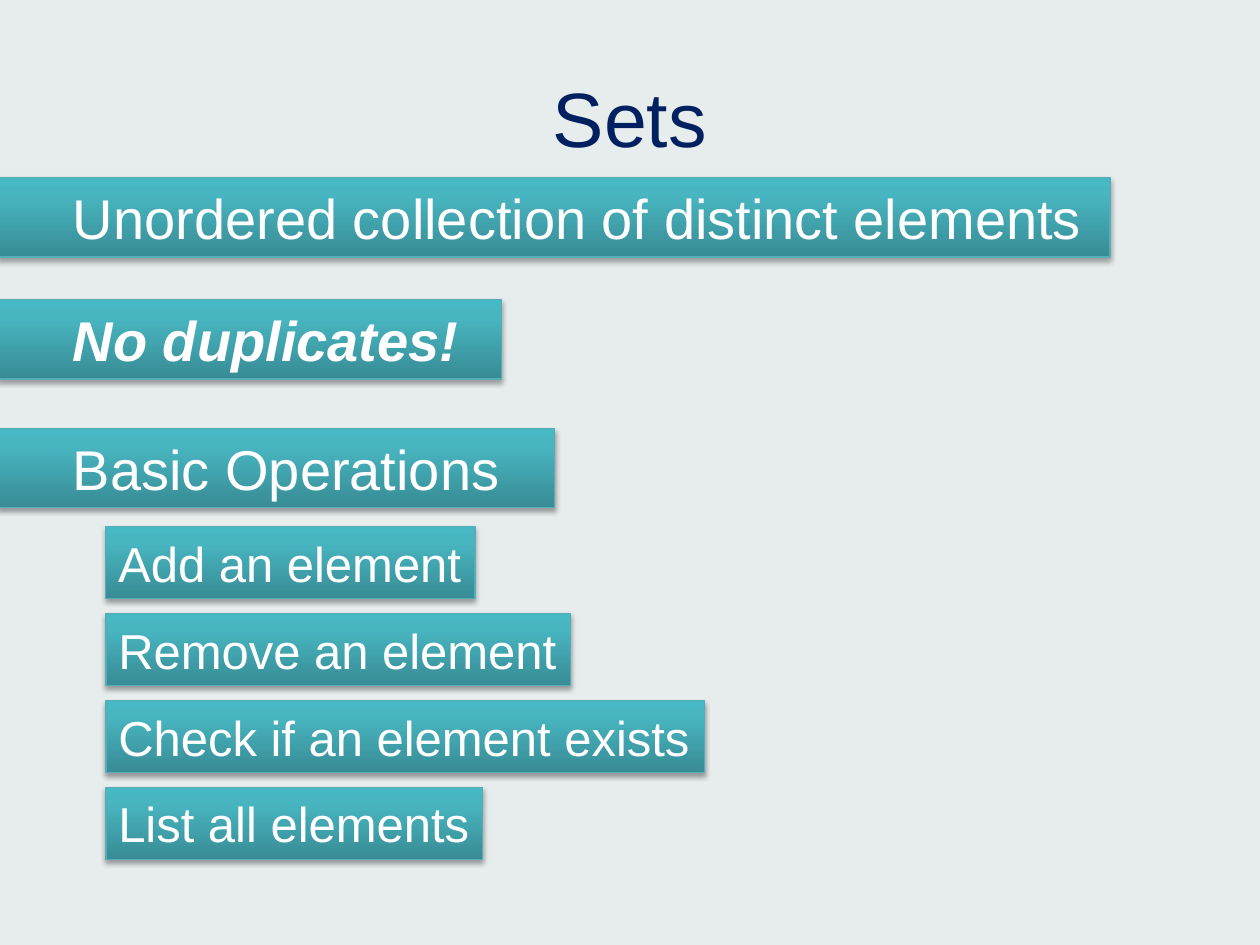
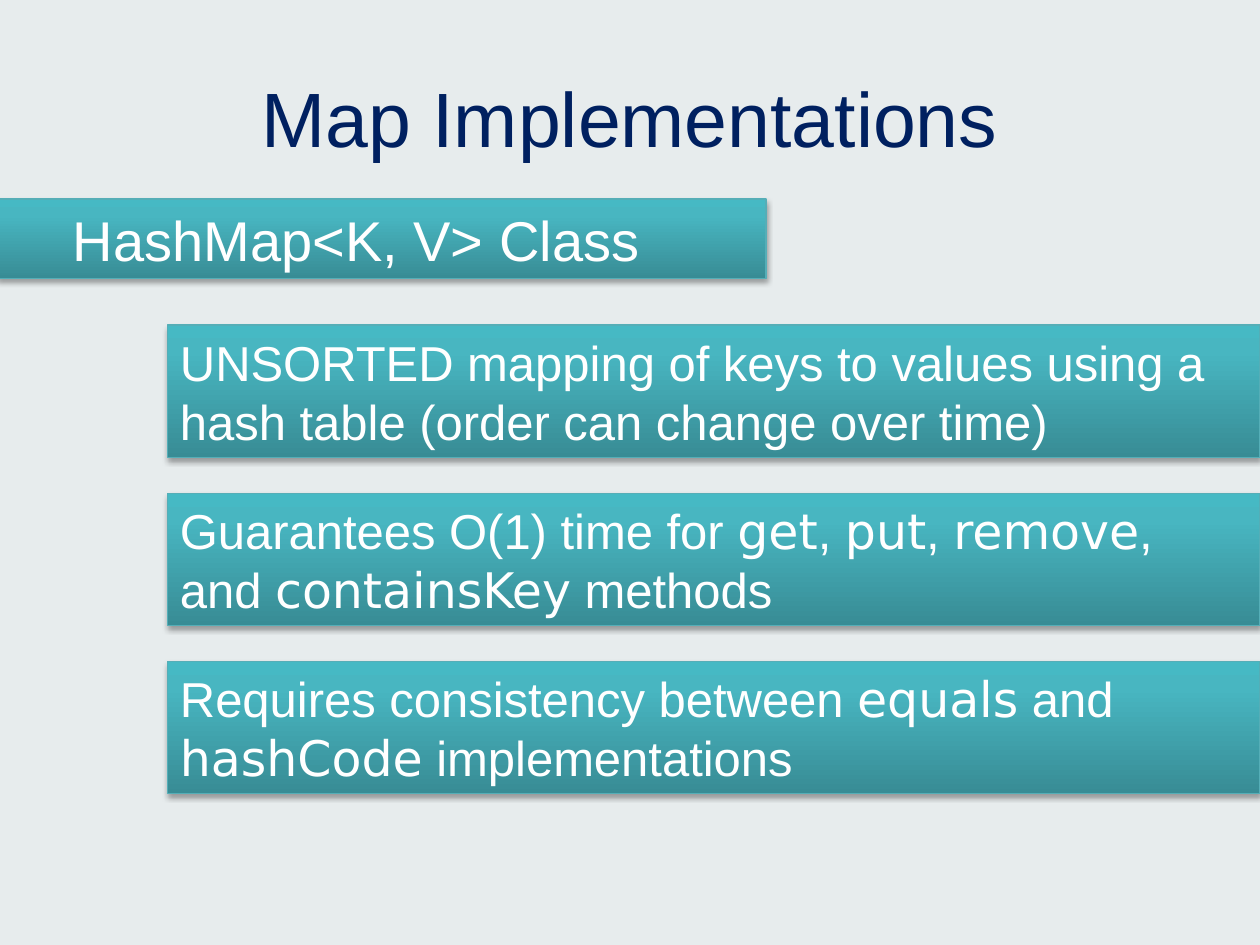
"""Two slides on collections: sets and map implementations."""
from lxml import etree
from pptx import Presentation
from pptx.dml.color import RGBColor
from pptx.enum.shapes import MSO_SHAPE
from pptx.enum.text import MSO_ANCHOR, MSO_AUTO_SIZE, PP_ALIGN
from pptx.oxml import parse_xml
from pptx.util import Inches, Pt

RECT = MSO_SHAPE.RECTANGLE
MIDDLE = MSO_ANCHOR.MIDDLE
GROW = MSO_AUTO_SIZE.SHAPE_TO_FIT_TEXT
LEFT, CENTER = PP_ALIGN.LEFT, PP_ALIGN.CENTER

FONT, CODE_FONT = "Arial", "DejaVu Sans"
BACKGROUND, NAVY, WHITE, EDGE = "E7ECED", "002060", "FFFFFF", "55AEB7"
GRADIENT = [(0, "388C95"), (80, "48B6C1"), (100, "46B9C4")]
SLIDE_W = 10
HEAD_LEFT, HEAD_H, ITEM_H, DETAIL_H = -0.02, 0.63, 0.57, 1.05
NS = 'xmlns:a="http://schemas.openxmlformats.org/drawingml/2006/main"'
A = "{http://schemas.openxmlformats.org/drawingml/2006/main}"


def color(hex_str):
    """Turn a hex string into a colour."""
    return RGBColor.from_string(hex_str)


def write(tf, text, size, fill=WHITE, align=LEFT, indent=0, bold=False, italic=False):
    """Write one paragraph; parts between backticks take the code font."""
    tf.word_wrap = True
    tf.vertical_anchor = MIDDLE
    p = tf.paragraphs[0]
    p.alignment = align
    if indent:
        pPr = p._p.get_or_add_pPr()
        pPr.set("marL", str(Inches(indent)))
        pPr.set("indent", "0")
    for i, part in enumerate(text.split("`")):
        r = p.add_run()
        r.text = part
        r.font.name = CODE_FONT if i % 2 else FONT
        r.font.size = Pt(size)
        r.font.color.rgb = color(fill)
        r.font.bold = bold
        r.font.italic = italic


def shade(sp):
    """Give a shape the teal gradient, thin edge and soft shadow below."""
    sp.fill.gradient()
    sp.fill.gradient_angle = 90
    stops = sp._element.spPr.find(f"{A}gradFill/{A}gsLst")
    for stop in list(stops):
        stops.remove(stop)
    for pos, hex_str in GRADIENT:
        stop = etree.SubElement(stops, A + "gs", pos=str(pos * 1000))
        etree.SubElement(stop, A + "srgbClr", val=hex_str)
    sp.line.color.rgb = color(EDGE)
    sp.line.width = Pt(0.75)
    sp.shadow.inherit = False
    sp._element.spPr.find(A + "effectLst").append(parse_xml(
        f'<a:outerShdw {NS} blurRad="{Pt(3.1)}" dist="{Pt(1.8)}" dir="5400000" '
        'rotWithShape="0"><a:srgbClr val="000000"><a:alpha val="35000"/>'
        '</a:srgbClr></a:outerShdw>'))


def add_bar(s, box, text, size=28, **fmt):
    """Add a shaded bar with text in the given box."""
    sp = s.shapes.add_shape(RECT, *map(Inches, box))
    shade(sp)
    write(sp.text_frame, text, size, **fmt)
    sp.text_frame.auto_size = GROW


def add_heading(s, top, width, text, **fmt):
    """Add a heading bar that starts at the left edge of the slide."""
    add_bar(s, (HEAD_LEFT, top, width, HEAD_H), text, size=32, indent=0.5, **fmt)


def add_slide(prs, title):
    """Add a title-only slide and set its title."""
    s = prs.slides.add_slide(prs.slide_layouts[5])
    sp = s.shapes.title
    sp.left, sp.top, sp.width, sp.height = map(Inches, (0.5, 0.3, 9, 1.25))
    write(sp.text_frame, title, 44, fill=NAVY, align=CENTER)
    return s


def sets_slide(prs):
    """Build the slide on sets and their basic operations."""
    s = add_slide(prs, "Sets")
    add_heading(s, 1.41, 8.83, "Unordered collection of distinct elements")
    add_heading(s, 2.38, 4, "No duplicates!", bold=True, italic=True)
    add_heading(s, 3.4, 4.42, "Basic Operations")
    operations = [("Add an element", 2.93), ("Remove an element", 3.69),
                  ("Check if an element exists", 4.75), ("List all elements", 2.99)]
    for i, (text, width) in enumerate(operations):
        add_bar(s, (0.84, 4.18 + 0.69 * i, width, ITEM_H), text)


def maps_slide(prs):
    """Build the slide on the hash map class."""
    s = add_slide(prs, "Map Implementations")
    add_heading(s, 1.58, 6.1, "HashMap<K, V> Class")
    details = [
        "UNSORTED mapping of keys to values using a hash table "
        "(order can change over time)",
        "Guarantees O(1) time for `get`, `put`, `remove`, and `containsKey` methods",
        "Requires consistency between `equals` and `hashCode` implementations",
    ]
    left = 1.33
    for i, text in enumerate(details):
        add_bar(s, (left, 2.58 + 1.335 * i, SLIDE_W - left, DETAIL_H), text)


prs = Presentation()
prs.slide_width, prs.slide_height = Inches(SLIDE_W), Inches(7.5)
fill = prs.slide_master.background.fill
fill.solid()
fill.fore_color.rgb = color(BACKGROUND)
sets_slide(prs)
maps_slide(prs)
prs.save("out.pptx")
